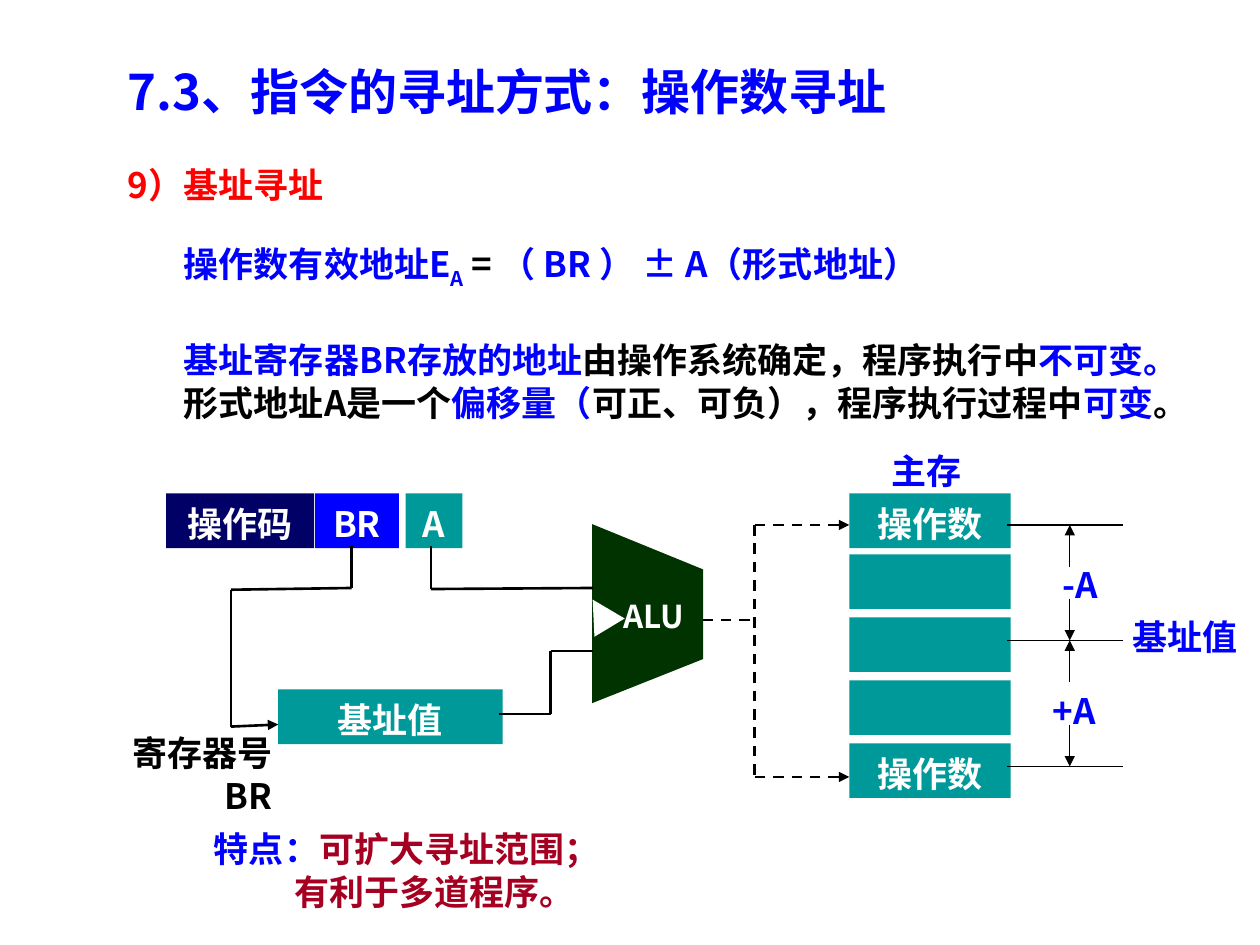
from pptx import Presentation
from pptx.dml.color import RGBColor
from pptx.enum.dml import MSO_LINE
from pptx.enum.shapes import MSO_CONNECTOR, MSO_SHAPE
from pptx.enum.text import MSO_ANCHOR, PP_ALIGN
from pptx.oxml.ns import qn
from pptx.util import Pt
from lxml.etree import SubElement

FONT = "Noto Sans CJK SC"
HUES = {
    "black": "000000", "white": "FFFFFF", "blue": "0000FF", "red": "FF0000",
    "navy": "000066", "teal": "009999", "green": "003300", "wine": "A50021",
}
hue = {name: RGBColor.from_string(code) for name, code in HUES.items()}
LEFT, MID, RIGHT = PP_ALIGN.LEFT, PP_ALIGN.CENTER, PP_ALIGN.RIGHT


def write(shape, paras, align=LEFT, size=20, wrap=True):
    """Fill a shape; each paragraph is (indent, space before, [(text, colour)])."""
    frame = shape.text_frame
    frame.word_wrap = wrap
    frame.vertical_anchor = MSO_ANCHOR.TOP
    frame.margin_left = frame.margin_right = Pt(7.2)
    frame.margin_top, frame.margin_bottom = Pt(4.6), Pt(2.6)
    for i, (indent, before, runs) in enumerate(paras):
        para = frame.paragraphs[0] if i == 0 else frame.add_paragraph()
        para.alignment = align
        para.line_spacing = Pt(size * 1.22)
        if before:
            para.space_before = Pt(before)
        if indent:
            props = para._p.get_or_add_pPr()
            props.set("marL", str(Pt(indent)))
            props.set("indent", "0")
        para.font.name, para.font.size, para.font.bold = FONT, Pt(size), True
        base = para._p.pPr.find(qn("a:defRPr"))
        SubElement(base, qn("a:ea")).set("typeface", FONT)
        same = len({tone for _, tone in runs}) == 1
        if same:
            para.font.color.rgb = hue[runs[0][1]]
        for text, tone in runs:
            run = para.add_run()
            run.text = text
            if not same:
                run.font.color.rgb = hue[tone]


def draw(start, end, width=1.5, dash=False, arrow=False):
    line = shapes.add_connector(MSO_CONNECTOR.STRAIGHT, *map(Pt, start + end))
    line.line.width = Pt(width)
    line.line.color.rgb = hue["black"]
    if dash:
        line.line.dash_style = MSO_LINE.DASH
    if arrow:
        SubElement(line.line._get_or_add_ln(), qn("a:tailEnd")).set("type", "triangle")
    SubElement(line._element.spPr, qn("a:effectLst"))


deck = Presentation()
deck.slide_width, deck.slide_height = Pt(720), Pt(540)
shapes = deck.slides.add_slide(deck.slide_layouts[6]).shapes

# Title and body
title = shapes.add_textbox(Pt(66), Pt(30), Pt(498), Pt(41))
write(title, [(0, 0, [("7.3、指令的寻址方式：操作数寻址", "blue")])], size=28)

body = shapes.add_textbox(Pt(66), Pt(88.5), Pt(654), Pt(178.5))
write(body, [
    (0, 0, [("9）基址寻址", "red")]),
    (32, 24, [("操作数有效地址E", "blue"), ("A", "blue"), (" = ", "black"),
              ("（ BR ） ± A（形式地址）", "blue")]),
    (32, 27, [("基址寄存器BR存放的地址", "blue"),
              ("由操作系统确定，程序执行中", "black"), ("不可变。", "blue")]),
    (32, 0, [("形式地址A是一个", "black"), ("偏移量（", "blue"),
             ("可正、可负），程序执行过程中", "black"), ("可变", "blue"), ("。", "black")]),
])
sub = body.text_frame.paragraphs[1].runs[1]
sub.font._element.set("baseline", "-25000")

# ALU, with its output line running behind it
draw((359.3, 354.2), (431.3, 354.2), dash=True)
form = shapes.build_freeform(Pt(338.4), Pt(401.8), scale=1.0)
form.add_line_segments([(Pt(x), Pt(y)) for x, y in
                        [(401.8, 376.6), (401.8, 325.4), (338.4, 299.5)]])
alu = form.convert_to_shape()
notch = shapes.add_shape(MSO_SHAPE.ISOSCELES_TRIANGLE,
                         Pt(333.4), Pt(341.3), Pt(20.2), Pt(18.7))
notch.rotation = 328.9
for part, tone in [(alu, "green"), (notch, "white")]:
    part.shadow.inherit = False
    part.fill.solid()
    part.fill.fore_color.rgb = hue[tone]
    part.line.fill.background()
write(alu, [(0, 0, [("ALU", "white")])], MID, 18, False)
alu.text_frame.vertical_anchor = MSO_ANCHOR.MIDDLE
alu.text_frame.margin_right = Pt(0)

# Instruction fields, base register and memory cells
cells = [
    (95, 282, 84.5, "navy", "操作码"),
    (180, 282, 48, "blue", "BR"),
    (231.8, 282, 32.4, "teal", "A"),
    (159, 394, 128.2, "teal", "基址值"),
]
words = ["操作数", "", "", "", "操作数"]
tops = [282, 316.8, 352.8, 388.8, 424.8]
cells += [(485.3, top, 92.2, "teal", word) for top, word in zip(tops, words)]
for left, top, width, tone, word in cells:
    cell = shapes.add_shape(MSO_SHAPE.RECTANGLE, Pt(left), Pt(top), Pt(width), Pt(31.2))
    cell.shadow.inherit = False
    cell.fill.solid()
    cell.fill.fore_color.rgb = hue[tone]
    cell.line.fill.background()
    if word:
        write(cell, [(0, 0, [(word, "white")])], MID)

# Wires from the fields to the register and the ALU
wires = [
    [(246.2, 312), (246.2, 336.6), (339, 336)],
    [(285, 408), (314.6, 408), (314.6, 372), (339, 372)],
    [(201, 312), (201, 336), (132, 337), (132, 415.2)],
]
for wire in wires:
    for start, end in zip(wire, wire[1:]):
        draw(start, end)
draw((132, 415.2), (159, 414), arrow=True)

# Dashed paths from the ALU to memory
draw((431.3, 300), (431.3, 444))
shapes[-1].line.dash_style = MSO_LINE.DASH
for y in (300, 444):
    draw((431.3, y), (485.3, y), dash=True, arrow=True)

# Offset dimensions beside memory
for y in (300, 366, 438):
    draw((575.3, y), (641.5, y), 0.75)
for start, end in [(324, 300), (342, 366), (390, 366), (414, 438)]:
    draw((611.3, start), (611.3, end), 0.75, arrow=True)

# Labels
labels = [
    (480, 252, 98.6, "主存", "blue", MID, True),
    (630, 347, 84.2, "基址值", "blue", RIGHT, True),
    (600, 317, 34.6, "-A", "blue", MID, False),
    (594, 389, 39.6, "+A", "blue", MID, False),
]
for left, top, width, word, tone, align, wrap in labels:
    label = shapes.add_textbox(Pt(left), Pt(top), Pt(width), Pt(31.7))
    write(label, [(0, 0, [(word, tone)])], align, wrap=wrap)

number = shapes.add_textbox(Pt(36.7), Pt(413.3), Pt(126), Pt(56))
write(number, [(0, 0, [("寄存器号", "black")]), (0, 0, [("BR", "black")])], RIGHT)

traits = shapes.add_textbox(Pt(115.2), Pt(468), Pt(234.7), Pt(56))
write(traits, [
    (0, 0, [("特点：", "blue"), ("可扩大寻址范围；", "wine")]),
    (46, 0, [("有利于多道程序。", "wine")]),
])

deck.save("out.pptx")
